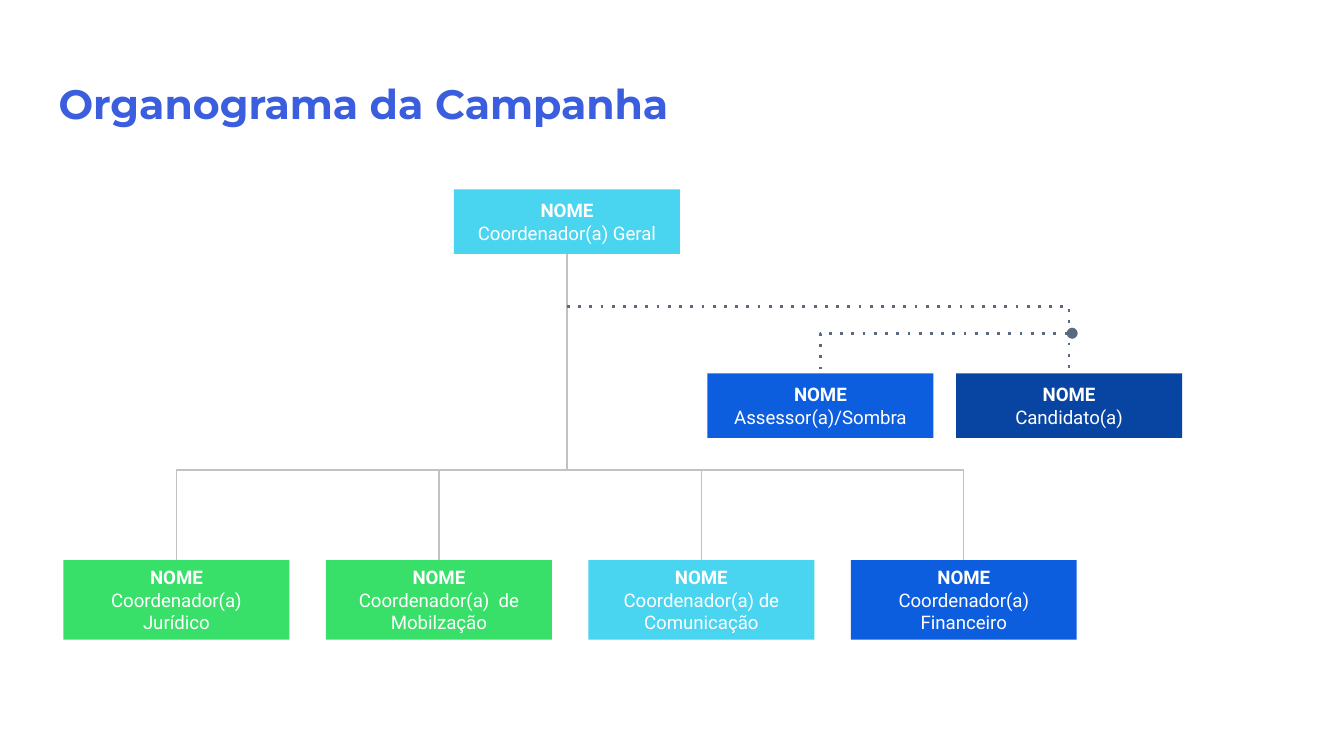
"""Build the campaign organisation chart slide."""
from lxml import etree
from pptx import Presentation
from pptx.dml.color import RGBColor
from pptx.enum.shapes import MSO_CONNECTOR, MSO_SHAPE
from pptx.enum.text import MSO_ANCHOR, PP_ALIGN
from pptx.oxml.ns import qn
from pptx.util import Cm, Pt

STRAIGHT, ELBOW = MSO_CONNECTOR.STRAIGHT, MSO_CONNECTOR.ELBOW
ROUNDED = MSO_SHAPE.ROUNDED_RECTANGLE
MIDDLE, CENTER, LEFT = MSO_ANCHOR.MIDDLE, PP_ALIGN.CENTER, PP_ALIGN.LEFT

TITLE_BLUE = RGBColor(0x3A, 0x5E, 0xDD)
CYAN = RGBColor(0x49, 0xD4, 0xF0)
GREEN = RGBColor(0x38, 0xE0, 0x69)
BLUE = RGBColor(0x0D, 0x5D, 0xDF)
NAVY = RGBColor(0x08, 0x44, 0xA1)
WHITE = RGBColor(0xFF, 0xFF, 0xFF)
GRAY = RGBColor(0xC2, 0xC2, 0xC2)
SLATE = RGBColor(0x58, 0x69, 0x80)

TITLE = "Organograma da Campanha"
NAME = "NOME"
LEADER = ("Coordenador(a) Geral", CYAN)
ADVISERS = [("Assessor(a)/Sombra", BLUE), ("Candidato(a)", NAVY)]
TEAM = [
    ("Coordenador(a) Jurídico", GREEN),
    ("Coordenador(a)  de Mobilzação", GREEN),
    ("Coordenador(a) de Comunicação", CYAN),
    ("Coordenador(a) Financeiro", BLUE),
]

TITLE_FONT = {"name": "Montserrat", "size": Pt(22), "bold": True}
NAME_FONT = {"name": "Roboto", "size": Pt(10), "bold": True}
ROLE_FONT = {**NAME_FONT, "bold": False}

BOX_WIDTH, BOX_HEIGHT, TEAM_HEIGHT = 4.27, 1.22, 1.5
LEADER_LEFT, LEADER_TOP = 8.58, 3.58
ADVISER_LEFT, ADVISER_TOP, ADVISER_PITCH = 13.37, 7.06, 4.7
TEAM_LEFT, TEAM_TOP, TEAM_PITCH = 1.2, 10.59, 4.96
BUS_Y, CANDIDATE_Y, ADVISER_Y = 8.89, 5.79, 6.3
INSET = 0.25


def set_frame(frame):
    frame.word_wrap = True
    for side in ("left", "right", "top", "bottom"):
        setattr(frame, f"margin_{side}", Cm(INSET))


def write(paragraph, text, font, color, alignment):
    paragraph.alignment = alignment
    run = paragraph.add_run()
    run.text = text
    for name, value in font.items():
        setattr(run.font, name, value)
    run.font.color.rgb = color


def add_title(slide):
    frame = slide.shapes.add_textbox(Cm(0.86), Cm(1.24), Cm(23.67), Cm(1.6)).text_frame
    set_frame(frame)
    write(frame.paragraphs[0], TITLE, TITLE_FONT, TITLE_BLUE, LEFT)


def add_box(slide, person, left, top, height):
    role, color = person
    shape = slide.shapes.add_shape(ROUNDED, Cm(left), Cm(top), Cm(BOX_WIDTH), Cm(height))
    shape.adjustments[0] = 0
    shape.shadow.inherit = False
    shape.fill.solid()
    shape.fill.fore_color.rgb = color
    shape.line.fill.background()
    frame = shape.text_frame
    set_frame(frame)
    frame.vertical_anchor = MIDDLE
    write(frame.paragraphs[0], NAME, NAME_FONT, WHITE, CENTER)
    write(frame.add_paragraph(), role, ROLE_FONT, WHITE, CENTER)
    return left + BOX_WIDTH / 2


def add_line(slide, kind, begin, end, color, width):
    connector = slide.shapes.add_connector(kind, *(Cm(value) for value in begin + end))
    connector.line.color.rgb = color
    connector.line.width = Pt(width)
    etree.SubElement(connector._element.spPr, qn("a:effectLst"))
    return connector


def add_branch(slide, start, end):
    (start_x, start_y), (end_x, end_y) = start, end
    middle_x, middle_y = (start_x + end_x) / 2, (start_y + end_y) / 2
    drop, span = end_y - start_y, abs(end_x - start_x)
    turn, direction = (270, -1) if end_x > start_x else (90, 1)
    frame_begin = (middle_x - direction * drop / 2, middle_y - span / 2)
    frame_end = (middle_x + direction * drop / 2, middle_y + span / 2)
    connector = add_line(slide, ELBOW, frame_begin, frame_end, GRAY, 0.75)
    properties = connector._element.spPr
    properties.find(qn("a:xfrm")).set("rot", str(turn * 60000))
    bend = round((BUS_Y - start_y) / drop * 100000)
    guides = properties.find(qn("a:prstGeom")).find(qn("a:avLst"))
    etree.SubElement(guides, qn("a:gd"), name="adj1", fmla=f"val {bend}")


def add_dotted_corner(slide, begin, end, oval=False):
    connector = add_line(slide, ELBOW, begin, end, SLATE, 1.5)
    properties = connector._element.spPr
    properties.find(qn("a:prstGeom")).set("prst", "bentConnector2")
    line = properties.find(qn("a:ln"))
    etree.SubElement(line, qn("a:prstDash"), val="dot")
    if oval:
        etree.SubElement(line, qn("a:headEnd"), type="oval", w="med", len="med")


def main():
    presentation = Presentation()
    presentation.slide_width, presentation.slide_height = Cm(25.4), Cm(14.29)
    slide = presentation.slides.add_slide(presentation.slide_layouts[6])
    add_title(slide)

    leader_x = add_box(slide, LEADER, LEADER_LEFT, LEADER_TOP, BOX_HEIGHT)
    adviser_x, candidate_x = [
        add_box(slide, person, ADVISER_LEFT + index * ADVISER_PITCH, ADVISER_TOP, BOX_HEIGHT)
        for index, person in enumerate(ADVISERS)
    ]
    team_x = [
        add_box(slide, person, TEAM_LEFT + index * TEAM_PITCH, TEAM_TOP, TEAM_HEIGHT)
        for index, person in enumerate(TEAM)
    ]

    for x in (team_x[0], team_x[-1]):
        add_branch(slide, (leader_x, LEADER_TOP + BOX_HEIGHT), (x, TEAM_TOP))
    for x in team_x[1:-1]:
        add_line(slide, STRAIGHT, (x, TEAM_TOP), (x, BUS_Y), GRAY, 0.75)
    add_dotted_corner(slide, (leader_x, CANDIDATE_Y), (candidate_x, ADVISER_TOP))
    add_dotted_corner(slide, (candidate_x + 0.06, ADVISER_Y), (adviser_x, ADVISER_TOP), oval=True)

    presentation.save("out.pptx")


if __name__ == "__main__":
    main()
